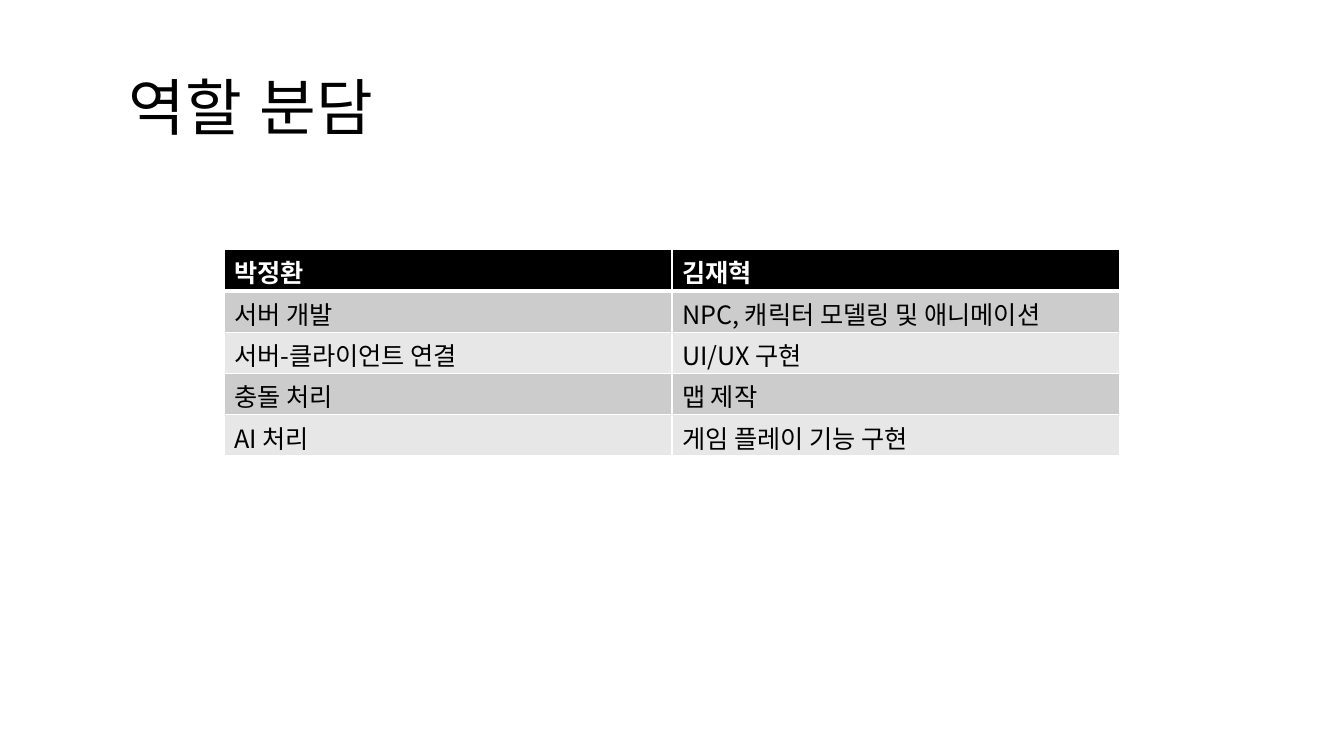
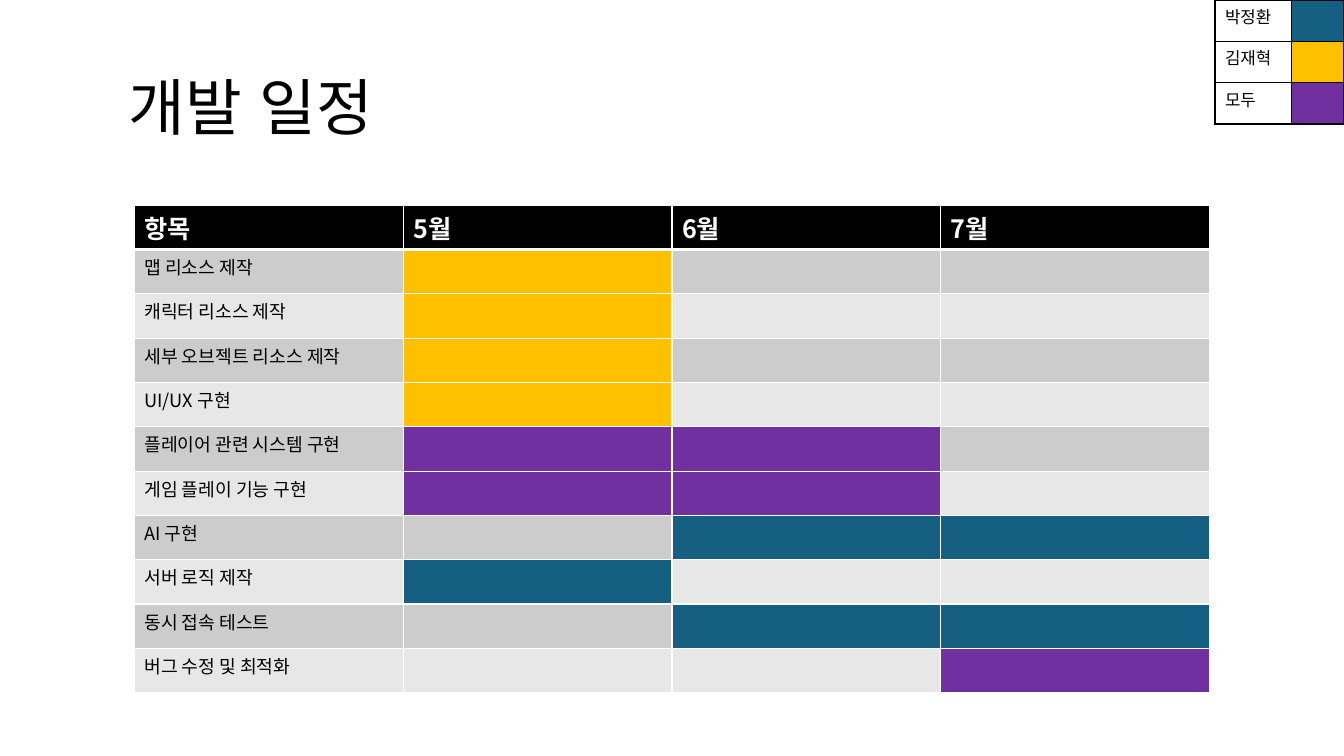
from dataclasses import dataclass

from lxml.etree import SubElement
from pptx import Presentation
from pptx.dml.color import RGBColor as Rgb
from pptx.enum.text import MSO_ANCHOR as Anchor
from pptx.oxml.ns import qn
from pptx.util import Inches, Pt


@dataclass(frozen=True)
class Theme:
    black: str = "000000"
    white: str = "FFFFFF"
    bands: tuple = ("CCCCCC", "E7E7E7")
    blue: str = "156082"
    yellow: str = "FFC000"
    purple: str = "7030A0"
    title_font: str = "Arial"
    body_font: str = "Noto Sans CJK KR"
    title_size: int = 44
    table_size: int = 18
    task_size: int = 13
    legend_size: int = 12
    thin: int = 1
    thick: int = 3


theme = Theme()
WIDTH, HEIGHT = 13.33, 7.5
COLUMN = WIDTH / 60
OWNERS = {"박정환": theme.blue, "김재혁": theme.yellow, "모두": theme.purple}


def write(frame, text, font=theme.body_font, size=theme.table_size, color=theme.black, bold=False):
    run = frame.paragraphs[0].add_run()
    run.text = text
    run.font.name = font
    run.font.size = Pt(size)
    run.font.bold = bold
    run.font.color.rgb = Rgb.from_string(color)
    SubElement(run.font._element, qn("a:ea"), typeface=font)


def draw_table(slide, rows, left, top, widths, row_height, size, border, header=True):
    grid = slide.shapes.add_table(
        len(rows), len(widths), Inches(left), Inches(top),
        Inches(sum(widths)), Inches(row_height * len(rows))).table
    for column, width in zip(grid.columns, widths):
        column.width = Inches(width)
    for r, row in enumerate(rows):
        grid.rows[r].height = Inches(row_height)
        heading = header and r == 0
        for c, (text, fill) in enumerate(row):
            cell = grid.cell(r, c)
            cell.margin_top, cell.margin_bottom = Inches(0.04), 0
            properties = cell._tc.get_or_add_tcPr()
            for side in "LRTB":
                below_heading = header and (r, side) in ((0, "B"), (1, "T"))
                weight = theme.thick if below_heading else theme.thin
                line = SubElement(properties, qn(f"a:ln{side}"), w=str(Pt(weight)))
                SubElement(SubElement(line, qn("a:solidFill")), qn("a:srgbClr"), val=border)
            if header and fill is None:
                fill = theme.black if heading else theme.bands[(r - 1) % 2]
            if fill:
                cell.fill.solid()
                cell.fill.fore_color.rgb = Rgb.from_string(fill)
            else:
                cell.fill.background()
            if text:
                write(cell.text_frame, text, bold=heading,
                      size=theme.table_size if heading else size,
                      color=theme.white if heading else theme.black)


deck = Presentation()
deck.slide_width, deck.slide_height = Inches(WIDTH), Inches(HEIGHT)

slides = []
for heading in ("역할 분담", "개발 일정"):
    slide = deck.slides.add_slide(deck.slide_layouts[6])
    frame = slide.shapes.add_textbox(
        Inches(1.18), Inches(0.63), Inches(8.69), Inches(0.84)).text_frame
    frame.word_wrap = True
    frame.vertical_anchor = Anchor.MIDDLE
    write(frame, heading, font=theme.title_font, size=theme.title_size)
    slides.append(slide)
roles_slide, schedule_slide = slides

roles = [
    ("박정환", "김재혁"),
    ("서버 개발", "NPC, 캐릭터 모델링 및 애니메이션"),
    ("서버-클라이언트 연결", "UI/UX 구현"),
    ("충돌 처리", "맵 제작"),
    ("AI 처리", "게임 플레이 기능 구현"),
]
role_rows = [[(text, None) for text in row] for row in roles]
draw_table(roles_slide, role_rows, left=10 * COLUMN, top=0.33 * HEIGHT,
           widths=[20 * COLUMN] * 2, row_height=0.41, size=theme.table_size,
           border=theme.white)

months = ("5월", "6월", "7월")
tasks = [
    ("맵 리소스 제작", "김재혁", ("5월",)),
    ("캐릭터 리소스 제작", "김재혁", ("5월",)),
    ("세부 오브젝트 리소스 제작", "김재혁", ("5월",)),
    ("UI/UX 구현", "김재혁", ("5월",)),
    ("플레이어 관련 시스템 구현", "모두", ("5월", "6월")),
    ("게임 플레이 기능 구현", "모두", ("5월", "6월")),
    ("AI 구현", "박정환", ("6월", "7월")),
    ("서버 로직 제작", "박정환", ("5월",)),
    ("동시 접속 테스트", "박정환", ("6월", "7월")),
    ("버그 수정 및 최적화", "모두", ("7월",)),
]
schedule_rows = [[(text, None) for text in ("항목", *months)]]
for task, owner, active in tasks:
    bars = [("", OWNERS[owner] if month in active else None) for month in months]
    schedule_rows.append([(task, None), *bars])
draw_table(schedule_slide, schedule_rows, left=6 * COLUMN, top=0.27 * HEIGHT + 0.01,
           widths=[12 * COLUMN] * 4, row_height=0.44, size=theme.task_size,
           border=theme.white)

legend_rows = [[(owner, None), ("", color)] for owner, color in OWNERS.items()]
legend_widths = [0.76, 0.52]
draw_table(schedule_slide, legend_rows, left=WIDTH - sum(legend_widths), top=0,
           widths=legend_widths, row_height=0.41, size=theme.legend_size,
           border=theme.black, header=False)

deck.save("out.pptx")
